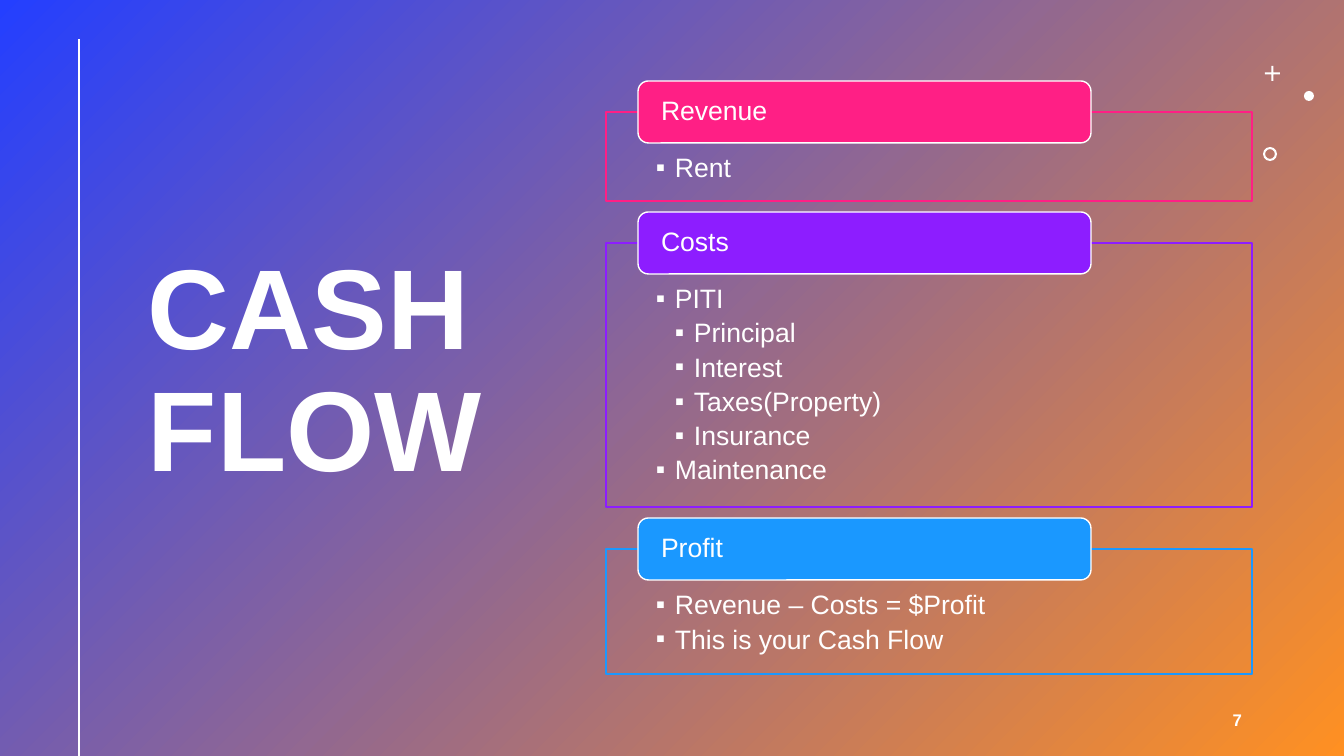
from dataclasses import dataclass

from lxml import etree
from pptx import Presentation
from pptx.dml.color import RGBColor
from pptx.enum.shapes import MSO_CONNECTOR, MSO_SHAPE
from pptx.enum.text import MSO_ANCHOR, PP_ALIGN
from pptx.oxml.ns import qn
from pptx.util import Pt

EMU_PER_PX = 914400 / 100.8
RECTANGLE, ROUNDED = MSO_SHAPE.RECTANGLE, MSO_SHAPE.ROUNDED_RECTANGLE
CROSS, OVAL, DONUT = MSO_SHAPE.CROSS, MSO_SHAPE.OVAL, MSO_SHAPE.DONUT
STRAIGHT = MSO_CONNECTOR.STRAIGHT
TOP, MIDDLE = MSO_ANCHOR.TOP, MSO_ANCHOR.MIDDLE
LEFT, RIGHT = PP_ALIGN.LEFT, PP_ALIGN.RIGHT


@dataclass(frozen=True)
class Theme:
    """Colours, font and type sizes of the deck."""
    font: str = "Arial"
    white: str = "FFFFFF"
    blue: str = "243FFF"
    orange: str = "FF9022"
    pink: str = "FF1F85"
    violet: str = "8D1DFF"
    sky: str = "1A98FF"
    title: int = 81
    body: int = 19
    number: int = 12


THEME = Theme()
PAGE = (0, 0, 1344, 756)
SECTIONS = [
    ("Revenue", THEME.pink, 89, [("Rent", 1)]),
    ("Costs", THEME.violet, 264, [
        ("PITI", 1), ("Principal", 2), ("Interest", 2),
        ("Taxes(Property)", 2), ("Insurance", 2), ("Maintenance", 1)]),
    ("Profit", THEME.sky, 125, [
        ("Revenue – Costs = $Profit", 1), ("This is your Cash Flow", 1)]),
]


def px(length):
    """Turn pixels into EMU."""
    return round(length * EMU_PER_PX)


def colour(code):
    """Turn a hex code into a colour."""
    return RGBColor.from_string(code)


def add_box(slide, kind, box, fill=None, line=None, adjust=None):
    """Add a preset shape with the given fill, outline and adjustment."""
    shape = slide.shapes.add_shape(kind, *map(px, box))
    shape.shadow.inherit = False
    if fill:
        shape.fill.solid()
        shape.fill.fore_color.rgb = colour(fill)
    else:
        shape.fill.background()
    if line:
        shape.line.color.rgb = colour(line)
        shape.line.width = Pt(1)
    else:
        shape.line.fill.background()
    if adjust is not None:
        shape.adjustments[0] = adjust
    return shape


def add_bullet(para, level):
    """Give a paragraph a square bullet indented by its level."""
    step = px(19)
    para.level = level
    properties = para._p.get_or_add_pPr()
    properties.set("marL", str(step * level))
    properties.set("indent", str(-step))
    etree.SubElement(properties, qn("a:buFont")).set("typeface", THEME.font)
    etree.SubElement(properties, qn("a:buChar")).set("char", "▪")


def write_text(shape, lines, size=THEME.body, bold=False, align=LEFT,
               anchor=MIDDLE, insets=(10, 5, 10, 5), after=0):
    """Write lines of (text, bullet level) into a shape; level 0 has no bullet."""
    frame = shape.text_frame
    frame.word_wrap = True
    frame.vertical_anchor = anchor
    (frame.margin_left, frame.margin_top,
     frame.margin_right, frame.margin_bottom) = map(px, insets)
    for index, (text, level) in enumerate(lines):
        para = frame.add_paragraph() if index else frame.paragraphs[0]
        if level:
            add_bullet(para, level)
        para.alignment = align
        para.line_spacing = 0.9
        para.space_after = Pt(after)
        span = para.add_run()
        span.text = text
        span.font.name = THEME.font
        span.font.size = Pt(size)
        span.font.bold = bold
        span.font.color.rgb = colour(THEME.white)


def draw_backdrop(slide, box):
    """Cover the box with the diagonal gradient and draw the side rule."""
    fill = add_box(slide, RECTANGLE, box).fill
    fill.gradient()
    fill.gradient_angle = 315
    for stop, code in zip(fill.gradient_stops, (THEME.blue, THEME.orange)):
        stop.color.rgb = colour(code)
    left, top, _, height = box
    rule = slide.shapes.add_connector(
        STRAIGHT, px(left + 79), px(top + 39), px(left + 79), px(top + height))
    rule.line.color.rgb = colour(THEME.white)
    rule.line.width = Pt(2)
    etree.SubElement(rule._element.spPr, qn("a:effectLst"))


def draw_ornaments(slide, box):
    """Place the plus, dot and ring within the box."""
    left, top = box[:2]
    for kind, x, y, size, adjust in ((CROSS, 2, 0, 15, 0.43),
                                     (OVAL, 41, 25, 10, None),
                                     (DONUT, 0, 81, 14, 0.15)):
        add_box(slide, kind, (left + x, top + y, size, size),
                fill=THEME.white, adjust=adjust)


def draw_label(slide, box, text, **text_format):
    """Write one line of bold text in a box."""
    label = slide.shapes.add_textbox(*map(px, box))
    write_text(label, [(text, 0)], bold=True, **text_format)


def draw_section(slide, box, heading, accent, lines):
    """Draw an outlined list with its heading tab across the top edge."""
    left, top = box[:2]
    panel = add_box(slide, RECTANGLE, box, line=accent)
    write_text(panel, lines, anchor=TOP, insets=(50, 43, 50, 15), after=3.8)
    tab = add_box(slide, ROUNDED, (left + 32, top - 31, 453, 62),
                  fill=accent, line=THEME.white)
    write_text(tab, [(heading, 0)], insets=(20, 0, 20, 0))


def draw_sections(slide, box, gap):
    """Stack the sections down the box with equal gaps."""
    left, top, width = box
    for heading, accent, height, lines in SECTIONS:
        draw_section(slide, (left, top, width, height), heading, accent, lines)
        top += height + gap


def main():
    """Build and save the deck."""
    deck = Presentation()
    deck.slide_width, deck.slide_height = map(px, PAGE[2:])
    slide = deck.slides.add_slide(deck.slide_layouts[6])
    draw_backdrop(slide, PAGE)
    draw_label(slide, (138, 66, 434, 616), "CASH FLOW", size=THEME.title)
    draw_ornaments(slide, (1263, 66, 51, 95))
    draw_label(slide, (950, 701, 302, 40), "7", size=THEME.number, align=RIGHT)
    draw_sections(slide, (606, 112, 646), gap=42)
    deck.save("out.pptx")


if __name__ == "__main__":
    main()
